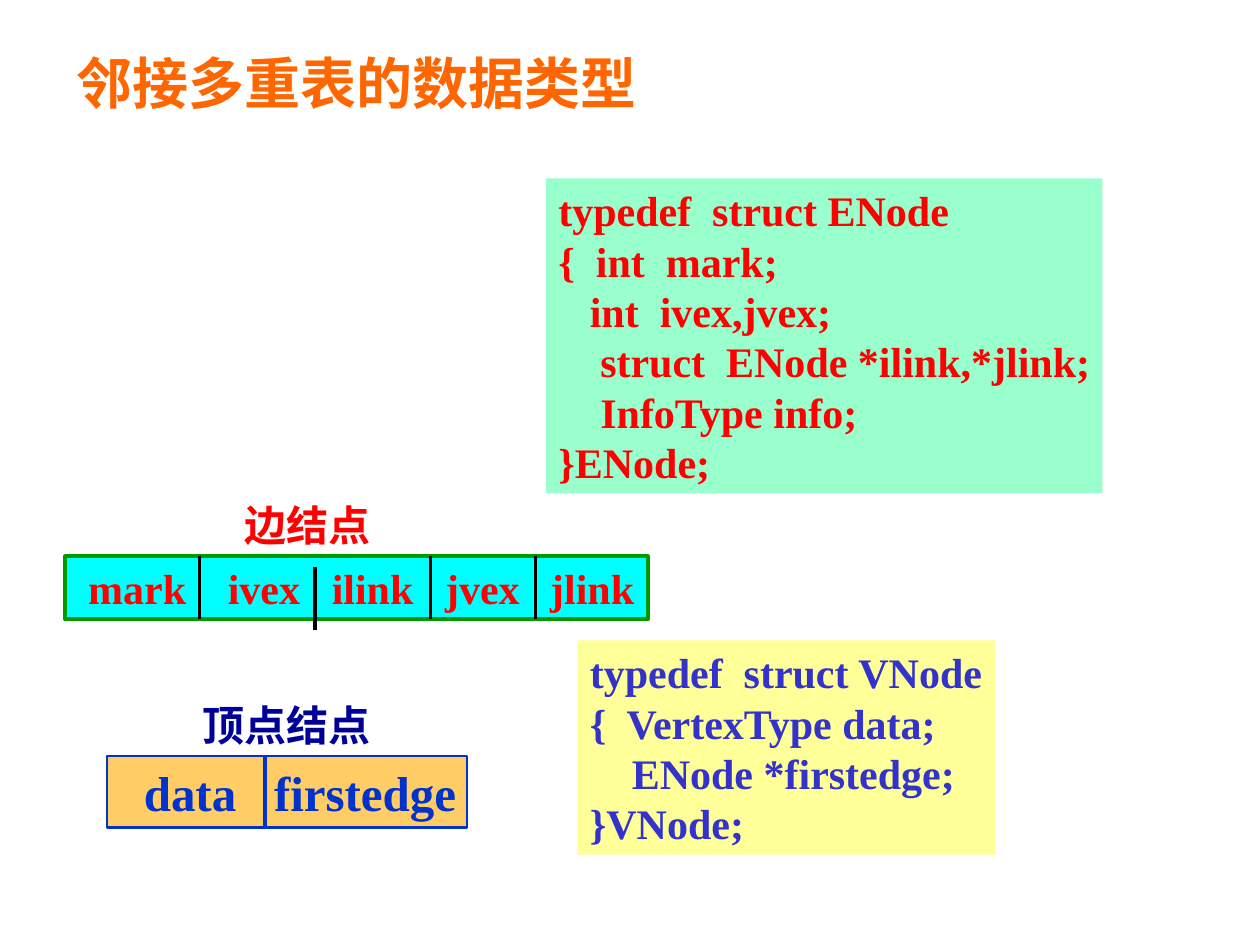
from lxml.etree import SubElement
from pptx import Presentation
from pptx.dml.color import RGBColor
from pptx.enum.shapes import MSO_CONNECTOR as CONNECTOR, MSO_SHAPE as SHAPE
from pptx.enum.text import MSO_ANCHOR as ANCHOR, PP_ALIGN as ALIGN
from pptx.oxml.ns import qn
from pptx.util import Inches, Pt

ORANGE = RGBColor(0xFF, 0x66, 0x00)
RED = RGBColor(0xFF, 0x00, 0x00)
MINT = RGBColor(0x99, 0xFF, 0xCC)
CYAN = RGBColor(0x00, 0xFF, 0xFF)
GREEN = RGBColor(0x00, 0x99, 0x00)
BLACK = RGBColor(0x00, 0x00, 0x00)
NAVY = RGBColor(0x00, 0x00, 0x99)
BLUE = RGBColor(0x00, 0x33, 0xCC)
AMBER = RGBColor(0xFF, 0xCC, 0x66)
YELLOW = RGBColor(0xFF, 0xFF, 0x99)
INDIGO = RGBColor(0x33, 0x33, 0xCC)

EDGE_CODE = """typedef  struct ENode
{  int  mark;
   int  ivex,jvex;
    struct  ENode *ilink,*jlink;
    InfoType info;
}ENode;"""

VERTEX_CODE = """typedef  struct VNode
{  VertexType data;
    ENode *firstedge;
}VNode;"""


class Board:
    font = "Times New Roman"
    columns, rows = 120, 90

    def __init__(self, deck):
        self.slide = deck.slides.add_slide(deck.slide_layouts[6])
        self.column = deck.slide_width / self.columns
        self.row = deck.slide_height / self.rows

    def place(self, left, top, width, height):
        return (round(left * self.column), round(top * self.row),
                round(width * self.column), round(height * self.row))

    def set_text(self, holder, text, size, color, inset=1.2, stops=()):
        frame = holder.text_frame
        frame.text = text
        frame.word_wrap = True
        frame.vertical_anchor = ANCHOR.TOP
        frame.margin_left = round(inset * self.column)
        frame.margin_right = 0
        for paragraph in frame.paragraphs:
            paragraph.alignment = ALIGN.LEFT
            if stops:
                tabs = SubElement(paragraph._p.get_or_add_pPr(), qn("a:tabLst"))
                for stop in stops:
                    SubElement(tabs, qn("a:tab"), pos=str(round(stop * self.column)), algn="l")
            for run in paragraph.runs:
                run.font.name = self.font
                run.font.size = Pt(size)
                run.font.bold = True
                run.font.color.rgb = color

    def label(self, area, text, color, size=24):
        self.set_text(self.slide.shapes.add_textbox(*self.place(*area)), text, size, color)

    def panel(self, area, fill):
        panel = self.slide.shapes.add_shape(SHAPE.RECTANGLE, *self.place(*area))
        panel.shadow.inherit = False
        panel.fill.solid()
        panel.fill.fore_color.rgb = fill
        panel.line.fill.background()
        return panel

    def code(self, area, text, color, fill):
        self.set_text(self.panel(area, fill), text, 24, color)

    def node(self, area, fields, size, color, fill, border, weight, inset, stops):
        node = self.panel(area, fill)
        node.line.color.rgb = border
        node.line.width = Pt(weight)
        self.set_text(node, "\t".join(fields), size, color, inset, stops)

    def divider(self, column, top, bottom, color):
        x, start, _, height = self.place(column, top, 0, bottom - top)
        divider = self.slide.shapes.add_connector(
            CONNECTOR.STRAIGHT, x, start, x, start + height)
        divider.line.color.rgb = color
        divider.line.width = Pt(2.25)
        SubElement(divider._element.spPr, qn("a:effectLst"))


def main():
    deck = Presentation()
    deck.slide_width, deck.slide_height = Inches(10), Inches(7.5)
    board = Board(deck)

    board.node((10.2, 72, 34.3, 6.8), ["data", "firstedge"], 28, BLUE, AMBER,
               BLUE, 1.5, inset=3.5, stops=[12.4])
    board.divider(25.2, 72.1, 79, BLUE)
    board.label((18.1, 66, 18.4, 6), "顶点结点", NAVY)

    board.node((6.2, 53, 55.5, 6), ["mark", "ivex", "ilink", "jvex", "jlink"], 24, RED, CYAN,
               GREEN, 2.25, inset=2.2, stops=[13.3, 23.2, 34, 44])
    for column, top in [(19, 53), (30, 54), (41, 53), (51, 53)]:
        board.divider(column, top, top + 6, BLACK)
    board.label((22.1, 47, 14.4, 6), "边结点", RED)

    board.code((52, 17, 53, 30), EDGE_CODE, RED, MINT)
    board.label((6.1, 4, 55.8, 7.7), "邻接多重表的数据类型", ORANGE, size=32)
    board.code((55, 61, 39.8, 20.4), VERTEX_CODE, INDIGO, YELLOW)

    deck.save("out.pptx")


if __name__ == "__main__":
    main()
